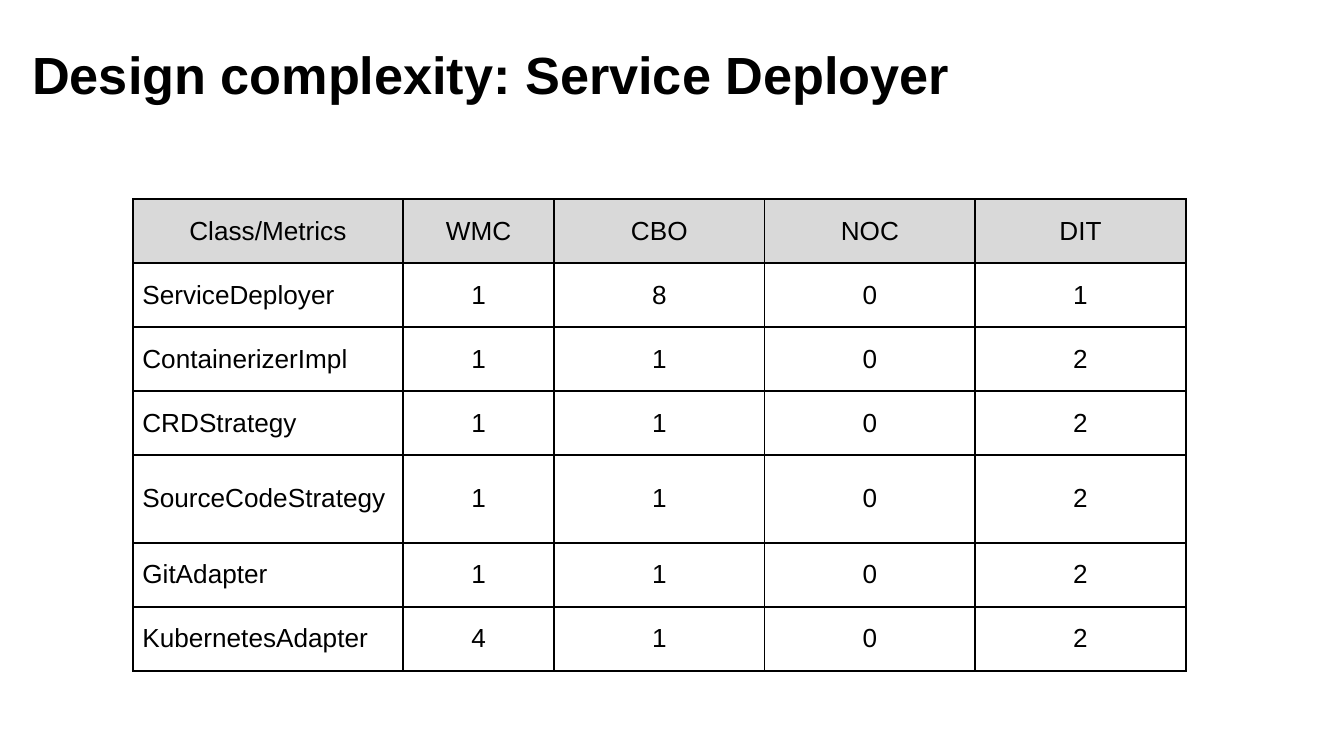
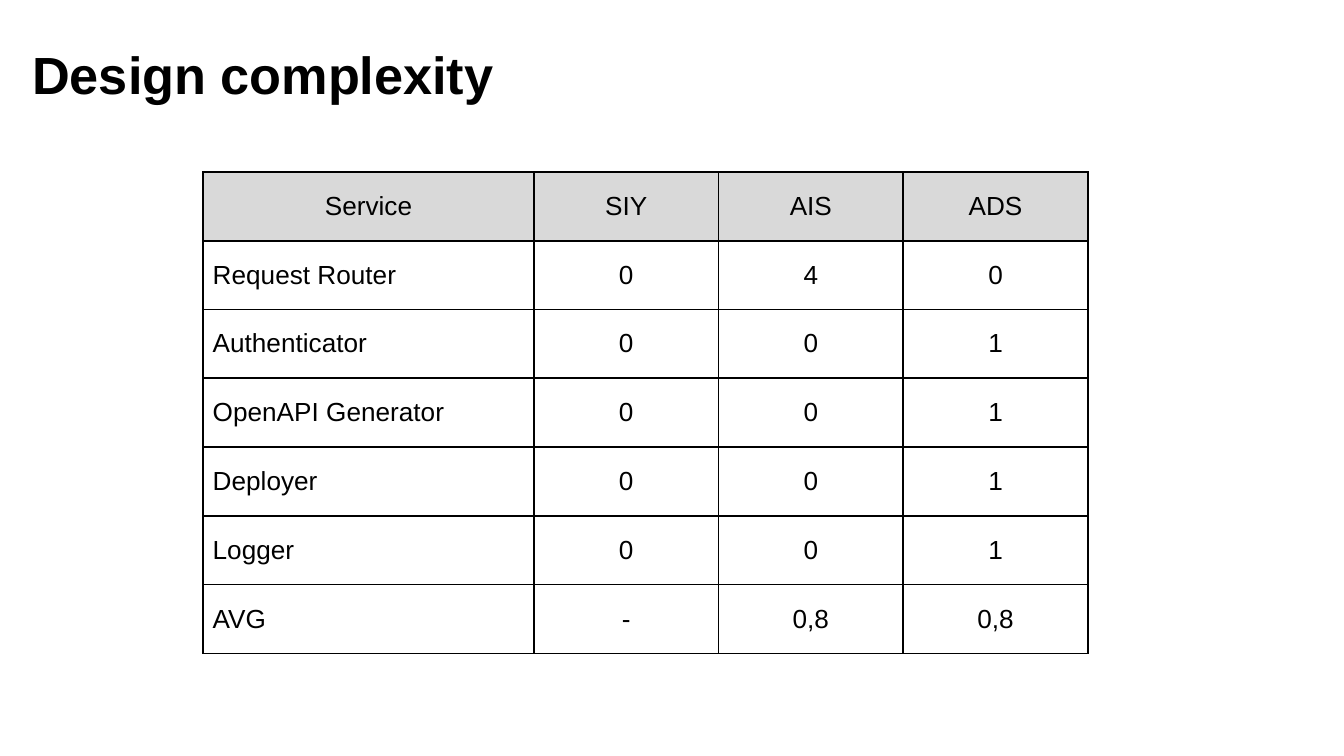
from pptx import Presentation
from pptx.dml.color import RGBColor
from pptx.enum.text import MSO_ANCHOR, MSO_AUTO_SIZE, PP_ALIGN
from pptx.oxml.ns import qn
from pptx.util import Cm, Pt
from lxml import etree

LEFT, CENTER = PP_ALIGN.LEFT, PP_ALIGN.CENTER
TOP, MIDDLE = MSO_ANCHOR.TOP, MSO_ANCHOR.MIDDLE
NO_AUTOFIT = MSO_AUTO_SIZE.NONE

FONT = "Arial"
BLACK = "000000"
HEADER_GREY = "D9D9D9"
TITLE_ONLY_LAYOUT = 5
TITLE_BOX = (0.36, 0.38, 23.67, 1.6)
TITLE_INSET = 0.25
CELL_INSET = 0.18
SIDES = ("left", "top", "right", "bottom")

CLASS_METRICS = [
    ("Class/Metrics", "WMC", "CBO", "NOC", "DIT"),
    ("ServiceDeployer", "1", "8", "0", "1"),
    ("ContainerizerImpl", "1", "1", "0", "2"),
    ("CRDStrategy", "1", "1", "0", "2"),
    ("SourceCodeStrategy", "1", "1", "0", "2"),
    ("GitAdapter", "1", "1", "0", "2"),
    ("KubernetesAdapter", "4", "1", "0", "2"),
]
SERVICE_METRICS = [
    ("Service", "SIY", "AIS", "ADS"),
    ("Request Router", "0", "4", "0"),
    ("Authenticator", "0", "0", "1"),
    ("OpenAPI Generator", "0", "0", "1"),
    ("Deployer", "0", "0", "1"),
    ("Logger", "0", "0", "1"),
    ("AVG", "-", "0,8", "0,8"),
]


def color(hex_value):
    return RGBColor.from_string(hex_value)


def set_insets(target, inset):
    for side in SIDES:
        setattr(target, f"margin_{side}", Cm(inset))


def style_paragraph(paragraph, align, **font_format):
    paragraph.alignment = align
    font = paragraph.runs[0].font
    for attribute, value in {"name": FONT, **font_format}.items():
        setattr(font, attribute, value)
    font.color.rgb = color(BLACK)


def add_title(slide, text):
    title = slide.shapes.title
    for attribute, length in zip(("left", "top", "width", "height"), TITLE_BOX):
        setattr(title, attribute, Cm(length))
    frame = title.text_frame
    frame.text = text
    frame.auto_size = NO_AUTOFIT
    frame.vertical_anchor = TOP
    frame.word_wrap = True
    set_insets(frame, TITLE_INSET)
    heading = frame.paragraphs[0]
    heading.line_spacing = 1.15
    style_paragraph(heading, LEFT, size=Pt(28), bold=True)


def add_borders(cell):
    """Draw a thin black line on all four sides of a cell."""
    properties = cell._tc.get_or_add_tcPr()
    for edge in ("a:lnL", "a:lnR", "a:lnT", "a:lnB"):
        line = etree.SubElement(properties, qn(edge), w=str(Pt(1)))
        fill = etree.SubElement(line, qn("a:solidFill"))
        etree.SubElement(fill, qn("a:srgbClr"), val=BLACK)


def fill_cell(cell, text, is_header, align):
    cell.text = text
    cell.vertical_anchor = MIDDLE
    set_insets(cell, CELL_INSET)
    style_paragraph(cell.text_frame.paragraphs[0], align, size=Pt(14), bold=False)
    add_borders(cell)
    if is_header:
        cell.fill.solid()
        cell.fill.fore_color.rgb = color(HEADER_GREY)
    else:
        cell.fill.background()


def add_metrics_table(slide, left, top, metrics, widths, heights):
    table = slide.shapes.add_table(
        len(metrics), len(widths), Cm(left), Cm(top),
        Cm(sum(widths)), Cm(sum(heights))).table
    table.first_row = table.horz_banding = False
    for column, width in zip(table.columns, widths):
        column.width = Cm(width)
    for row, height in zip(table.rows, heights):
        row.height = Cm(height)
    for r, values in enumerate(metrics):
        for c, value in enumerate(values):
            align = LEFT if r > 0 and c == 0 else CENTER
            fill_cell(table.cell(r, c), value, r == 0, align)


def add_metrics_slide(deck, title, **table_layout):
    slide = deck.slides.add_slide(deck.slide_layouts[TITLE_ONLY_LAYOUT])
    add_title(slide, title)
    add_metrics_table(slide, **table_layout)


def main():
    deck = Presentation()
    deck.slide_width, deck.slide_height = Cm(25.4), Cm(14.29)
    add_metrics_slide(
        deck, "Design complexity: Service Deployer",
        left=2.51, top=3.76, metrics=CLASS_METRICS,
        widths=[5.11, 2.85] + [3.98] * 3,
        heights=[1.21] * 4 + [1.66] + [1.21] * 2)
    add_metrics_slide(
        deck, "Design complexity",
        left=3.84, top=3.25, metrics=SERVICE_METRICS,
        widths=[6.25] + [3.49] * 3,
        heights=[1.3] * len(SERVICE_METRICS))
    deck.save("out.pptx")


if __name__ == "__main__":
    main()
